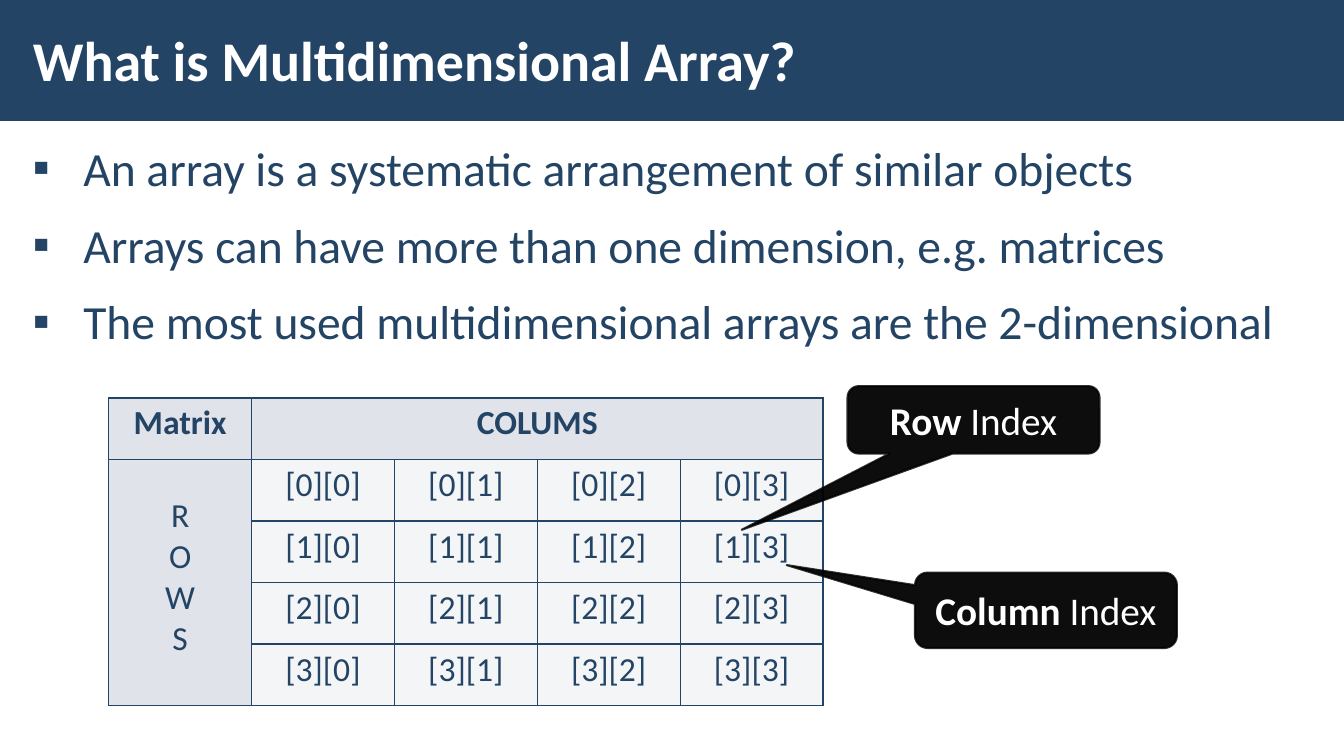
from lxml.etree import SubElement
from pptx import Presentation
from pptx.dml.color import RGBColor
from pptx.enum.shapes import MSO_SHAPE as Shape
from pptx.enum.text import MSO_ANCHOR as Anchor, PP_ALIGN as Align
from pptx.oxml import parse_xml
from pptx.oxml.ns import nsdecls, qn
from pptx.util import Cm, Pt

NAVY = RGBColor(0x23, 0x44, 0x65)
WHITE = RGBColor(0xFF, 0xFF, 0xFF)
BLACK = RGBColor(0, 0, 0)
HEADER_FILL = RGBColor(0xE0, 0xE3, 0xE9)
CELL_FILL = RGBColor(0xF4, 0xF5, 0xF7)


def style_font(font, size, color, bold=False):
    font.name = "Calibri"
    font.size = Pt(size)
    font.bold = bold
    font.color.rgb = color


def add_text_box(left, top, width, height):
    box = slide.shapes.add_textbox(Cm(left), Cm(top), Cm(width), Cm(height))
    frame = box.text_frame
    frame.word_wrap = True
    frame.margin_left = frame.margin_right = Cm(0.3)
    frame.margin_top = frame.margin_bottom = Cm(0.1)
    return frame


deck = Presentation()
deck.slide_width = Cm(33.87)
deck.slide_height = Cm(19.05)
slide = deck.slides.add_slide(deck.slide_layouts[6])

banner = slide.shapes.add_shape(Shape.RECTANGLE, 0, 0, deck.slide_width, Cm(3.05))
banner.shadow.inherit = False
banner.fill.solid()
banner.fill.fore_color.rgb = NAVY
banner.line.fill.background()

title = add_text_box(0.53, 0.28, 26.4, 2.44)
title.vertical_anchor = Anchor.MIDDLE
title.text = "What is Multidimensional Array?"
style_font(title.paragraphs[0].font, 40, WHITE, True)

body = add_text_box(0.53, 3.33, 32.82, 6.3)
body.text = "\n".join([
    "An array is a systematic arrangement of similar objects",
    "Arrays can have more than one dimension, e.g. matrices",
    "The most used multidimensional arrays are the 2-dimensional",
])
for para in body.paragraphs:
    para.line_spacing = 1.05
    para.space_before = para.space_after = Pt(6)
    style_font(para.font, 34, NAVY)
    props = para._p.get_or_add_pPr()
    props.set("marL", str(Cm(1.27)))
    props.set("indent", str(-Cm(1.27)))
    bullet_color = SubElement(props, qn("a:buClr"))
    SubElement(bullet_color, qn("a:srgbClr"), val=str(NAVY))
    SubElement(props, qn("a:buFont"), typeface="Calibri")
    SubElement(props, qn("a:buChar"), char="▪")
    props.append(props.find(qn("a:defRPr")))

SIZE = 5
matrix = slide.shapes.add_table(
    SIZE, SIZE, Cm(2.74), Cm(10.03), Cm(18), Cm(7.75)).table
for column in matrix.columns:
    column.width = Cm(3.6)
for row in matrix.rows:
    row.height = Cm(1.55)
matrix.cell(0, 1).merge(matrix.cell(0, 4))
matrix.cell(1, 0).merge(matrix.cell(4, 0))
matrix.cell(0, 0).text = "Matrix"
matrix.cell(0, 1).text = "COLUMS"
matrix.cell(1, 0).text = "\n".join("ROWS")
matrix.cell(1, 0).margin_top = Cm(0.9)

for row in range(SIZE):
    for col in range(SIZE):
        cell = matrix.cell(row, col)
        if row and col:
            cell.text = f"[{row - 1}][{col - 1}]"
        for para in cell.text_frame.paragraphs:
            para.alignment = Align.CENTER
            style_font(para.font, 24, NAVY, row == 0)
        cell_props = cell._tc.get_or_add_tcPr()
        for side in ("lnL", "lnR", "lnT", "lnB"):
            cell_props.append(parse_xml(
                f'<a:{side} {nsdecls("a")} w="{Pt(0.96)}"><a:solidFill>'
                f'<a:srgbClr val="{NAVY}"/></a:solidFill></a:{side}>'))
        cell.fill.solid()
        cell.fill.fore_color.rgb = CELL_FILL if row and col else HEADER_FILL

callouts = [
    ("Row ", (21.36, 9.73, 6.35, 1.7), (-0.92, 1.63)),
    ("Column ", (23.06, 14.43, 6.6, 1.9), (-0.99, -0.6)),
]
for label, place, tip in callouts:
    callout = slide.shapes.add_shape(
        Shape.ROUNDED_RECTANGULAR_CALLOUT, *[Cm(length) for length in place])
    callout.shadow.inherit = False
    callout.adjustments[0], callout.adjustments[1] = tip
    callout.line.width = Pt(1.5)
    for paint, opacity in ((callout.fill, 95), (callout.line.fill, 80)):
        paint.solid()
        paint.fore_color.rgb = BLACK
    colors = callout._element.spPr.iter(qn("a:srgbClr"))
    for color, opacity in zip(list(colors), (95, 80)):
        SubElement(color, qn("a:alpha"), val=str(opacity * 1000))
    callout.text_frame.vertical_anchor = Anchor.MIDDLE
    para = callout.text_frame.paragraphs[0]
    para.alignment = Align.CENTER
    for text, bold in ((label, True), ("Index", False)):
        span = para.add_run()
        span.text = text
        style_font(span.font, 28, WHITE, bold)

deck.save("out.pptx")
